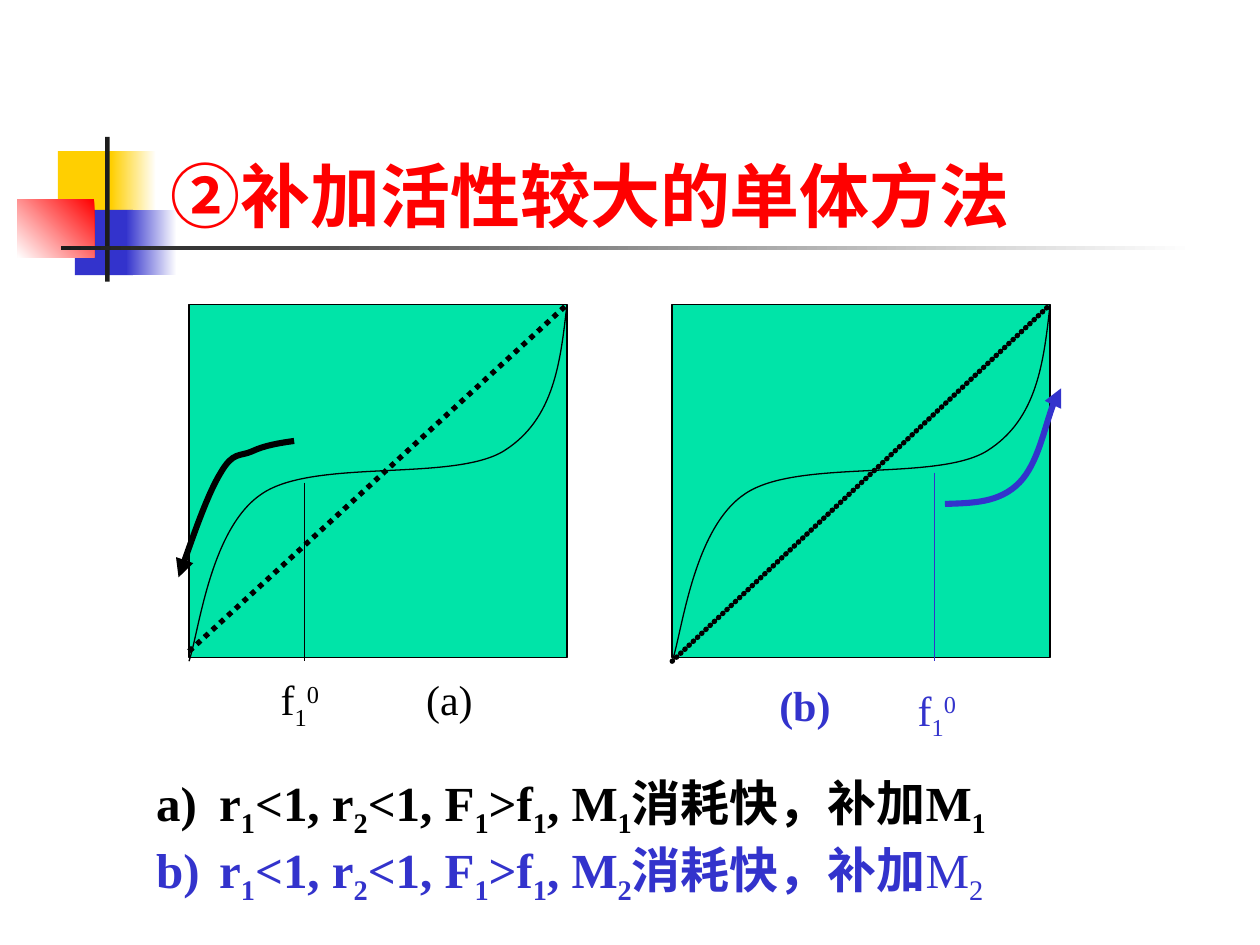
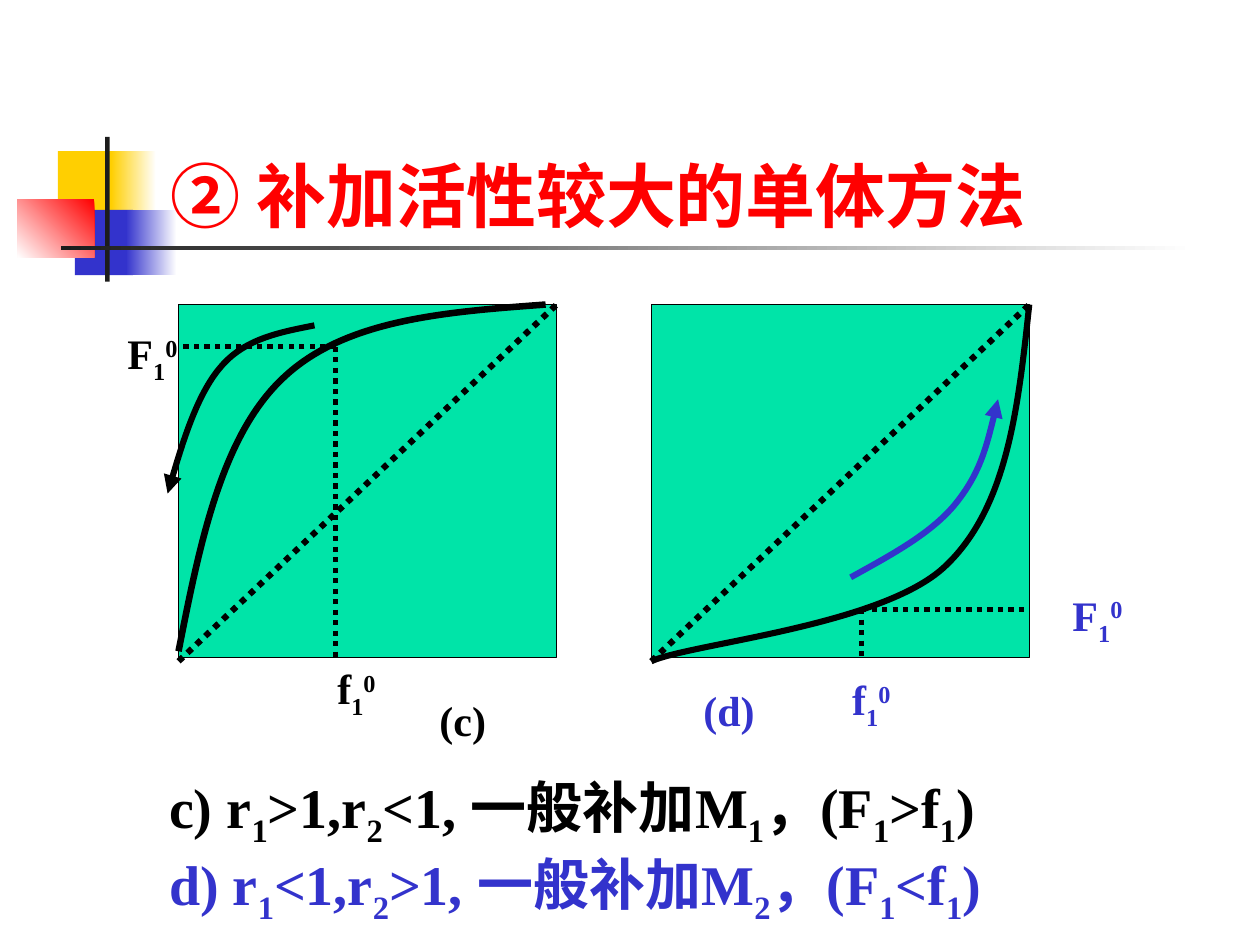
from lxml import etree
from pptx import Presentation
from pptx.dml.color import RGBColor
from pptx.enum.dml import MSO_LINE
from pptx.enum.shapes import MSO_CONNECTOR, MSO_SHAPE
from pptx.enum.text import MSO_ANCHOR, MSO_AUTO_SIZE
from pptx.oxml.ns import qn
from pptx.util import Cm, Pt

RECTANGLE = MSO_SHAPE.RECTANGLE
STRAIGHT = MSO_CONNECTOR.STRAIGHT
DOTTED = MSO_LINE.ROUND_DOT
TOP, BOTTOM = MSO_ANCHOR.TOP, MSO_ANCHOR.BOTTOM
FIT_SHAPE, FIT_NONE = MSO_AUTO_SIZE.SHAPE_TO_FIT_TEXT, MSO_AUTO_SIZE.NONE

LATIN, CHINESE = "Times New Roman", "Noto Sans CJK SC"
BLACK, BLUE, RED, WHITE = "000000", "3333CC", "FF0000", "FFFFFF"
YELLOW, GREEN, CHARCOAL = "FFCF01", "00E4A8", "1C1C1C"
hex_color = RGBColor.from_string

# Left, top, width, height, fill colours, gradient angle
DECORATION = [
    (1.17, 3.05, 1.22, 1.32, [YELLOW], None),
    (2.24, 3.05, 0.91, 1.32, [WHITE, YELLOW], 180),
    (1.51, 4.23, 1.17, 1.32, [BLUE], None),
    (2.54, 4.23, 1.02, 1.32, [WHITE, BLUE], 180),
    (0.35, 4.02, 1.55, 1.17, [RED, WHITE], 225),
    (2.12, 2.76, 0.09, 2.92, [CHARCOAL], None),
    (1.23, 4.95, 22.86, 0.09, [WHITE, CHARCOAL], 180),
]
PLOT_TOP, PLOT_WIDTH, PLOT_HEIGHT = 6.14, 7.62, 7.11
AXIS = 7.19

# Knots and handles are measured from the top left corner of their plot.
S_CURVE = [(7.62, 0), (7.49, 1.14), (7.37, 2.31), (6.35, 2.95), (5.33, 3.58),
           (2.54, 3.1), (1.48, 3.81), (0.42, 4.5), (0.2, 6.63), (0, AXIS)]
HIGH_CURVE = [(7.4, 0), (5.37, 0.15), (3.35, 0.3), (2.11, 1.48),
              (0.87, 2.64), (0.43, 4.8), (0, 6.99)]
LOW_CURVE = [(7.62, 0), (7.4, 2.03), (7.19, 4.09), (5.92, 5.28),
             (4.65, 6.48), (0.81, 6.83), (0, AXIS)]
ARROW_A = [(2.12, 2.75), (1.83, 2.79), (1.52, 2.84), (1.27, 2.96), (1.02, 3.07),
           (0.89, 2.96), (0.64, 3.39), (0.38, 3.81), (-0.08, 5.13), (-0.21, 5.5)]
ARROW_B = [(5.5, 4.02), (6.06, 4), (6.6, 4), (7, 3.59),
           (7.38, 3.2), (7.62, 1.96), (7.84, 1.69)]
ARROW_C = [(2.74, 0.42), (2.04, 0.56), (1.32, 0.69), (0.84, 1.27),
           (0.36, 1.83), (-0.08, 3.3), (-0.22, 3.81)]
ARROW_D = [(4.02, 5.5), (4.83, 5.05), (5.64, 4.62), (6.13, 4.02),
           (6.63, 3.4), (6.81, 2.67), (6.99, 1.91)]

# Plot: left, curve, curve width, arrow, colour, lines (x1, y1, x2, y2, colour, width, dash)
# Label: left, top, width, colour, bold, runs
SLIDES = [
    {
        "title": "②补加活性较大的单体方法", "title_font": CHINESE,
        "plots": [
            (3.81, S_CURVE, 0.75, ARROW_A, BLACK,
             [(0, 6.99, 7.62, 0, BLACK, 3, DOTTED),
              (2.33, 3.59, 2.33, AXIS, BLACK, 0.75, None)]),
            (13.55, S_CURVE, 0.75, ARROW_B, BLUE,
             [(0, AXIS, 7.62, 0, BLACK, 3, "beads"),
              (5.29, 3.39, 5.29, AXIS, BLUE, 0.75, None)]),
        ],
        "labels": [
            (8.34, 13.46, 1.45, BLACK, False, "(a)"),
            (15.46, 13.57, 1.55, BLUE, True, "(b)"),
            (5.41, 13.46, 1.3, BLACK, False, "f|_1|^0"),
            (18.25, 13.67, 1.3, BLUE, False, "f|_1|^0"),
        ],
        "summary_box": (2.9, 15.45, 17.7, 2.95), "summary_size": 28, "numbered": True,
        "summary": [
            (BLACK, "r|_1|<1, r|_2|<1, F|_1|>f|_1|, M|_1|消耗快，补加M|_1"),
            (BLUE, "r|_1|<1, r|_2|<1, F|_1|>f|_1|, M|_2|消耗快，补加|~M|~_2"),
        ],
    },
    {
        "title": "② 补加活性较大的单体方法", "title_font": LATIN,
        "plots": [
            (3.6, HIGH_CURVE, 3.75, ARROW_C, BLACK,
             [(0, AXIS, 7.62, 0, BLACK, 3.5, DOTTED),
              (3.17, 0.85, 3.17, AXIS, BLACK, 3, DOTTED),
              (3.17, 0.85, 0, 0.85, BLACK, 3, DOTTED)]),
            (13.13, LOW_CURVE, 3.5, ARROW_D, BLUE,
             [(0, AXIS, 7.62, 0, BLACK, 3.5, DOTTED),
              (4.23, 6.14, 4.23, AXIS, BLACK, 3, DOTTED),
              (4.23, 6.14, 7.62, 6.14, BLACK, 3, DOTTED)]),
        ],
        "labels": [
            (8.61, 13.87, 1.45, BLACK, True, "(c)"),
            (13.93, 13.67, 1.55, BLUE, True, "(d)"),
            (6.55, 13.24, 1.3, BLACK, True, "f|_1|^0"),
            (16.93, 13.46, 1.3, BLUE, True, "f|_1|^0"),
            (2.32, 6.48, 1.53, BLACK, True, "F|_1|^0"),
            (21.37, 11.76, 1.53, BLUE, True, "F|_1|^0"),
        ],
        "summary_box": (3.16, 15.45, 17.96, 3.35), "summary_size": 32, "numbered": False,
        "summary": [
            (BLACK, "c) r|_1|>1,r|_2|<1, 一般补加M|_1|，(F|_1|>f|_1|)"),
            (BLUE, "d) r|_1|<1,r|_2|>1, 一般补加M|_2|，(F|_1|<f|_1|)"),
        ],
    },
]


def add_text(slide, box, lines, size, bold=True, font=LATIN, numbered=False, title=False):
    """Add (colour, runs) lines; runs part at |, with _ sub, ^ super and ~ not bold."""
    frame = slide.shapes.add_textbox(*(Cm(length) for length in box)).text_frame
    frame.word_wrap = title
    frame.auto_size = FIT_NONE if title else FIT_SHAPE
    frame.vertical_anchor = BOTTOM if title else TOP
    for index, (color, runs) in enumerate(lines):
        paragraph = frame.add_paragraph() if index else frame.paragraphs[0]
        if numbered:
            properties = paragraph._p.get_or_add_pPr()
            properties.set("marL", str(Cm(1.27)))
            properties.set("indent", str(-Cm(1.27)))
            bullet_color = etree.SubElement(properties, qn("a:buClr"))
            etree.SubElement(bullet_color, qn("a:srgbClr"), val=color)
            etree.SubElement(properties, qn("a:buFont"), typeface=font)
            etree.SubElement(properties, qn("a:buAutoNum"), type="alphaLcParenR")
        for part in runs.split("|"):
            plain = part.lstrip("~")
            run = paragraph.add_run()
            run.text = plain.lstrip("_^")
            run.font.size = Pt(size)
            run.font.bold = bold and plain == part
            run.font.name = font
            run.font.color.rgb = hex_color(color)
            run_properties = run._r.get_or_add_rPr()
            etree.SubElement(run_properties, qn("a:ea"), typeface=CHINESE)
            if plain[0] in "_^":
                run_properties.set("baseline", "-25000" if plain[0] == "_" else "30000")


def style_line(shape, color, width, dash=None, arrow=False):
    shape.line.color.rgb = hex_color(color)
    shape.line.width = Pt(width)
    line = shape._element.spPr.find(qn("a:ln"))
    if dash == "beads":
        line.set("cap", "rnd")
        pattern = etree.SubElement(line, qn("a:custDash"))
        etree.SubElement(pattern, qn("a:ds"), d="10000", sp="100000")
    elif dash:
        shape.line.dash_style = dash
    if arrow:
        etree.SubElement(line, qn("a:tailEnd"), type="triangle")


presentation = Presentation()
presentation.slide_width, presentation.slide_height = Cm(25.4), Cm(19.05)

for content in SLIDES:
    slide = presentation.slides.add_slide(presentation.slide_layouts[6])

    for *box, colors, angle in DECORATION:
        block = slide.shapes.add_shape(RECTANGLE, *(Cm(length) for length in box))
        block.shadow.inherit = False
        block.line.fill.background()
        if angle is None:
            block.fill.solid()
            block.fill.fore_color.rgb = hex_color(colors[0])
        else:
            block.fill.gradient()
            block.fill.gradient_angle = angle
            for stop, color in zip(block.fill.gradient_stops, colors):
                stop.color.rgb = hex_color(color)

    add_text(slide, (3.19, 1.71, 21.64, 3.18), [(RED, content["title"])], 40,
             font=content["title_font"], title=True)

    for left, curve, curve_width, arrow, arrow_color, lines in content["plots"]:
        plot = slide.shapes.add_shape(RECTANGLE, Cm(left), Cm(PLOT_TOP),
                                      Cm(PLOT_WIDTH), Cm(PLOT_HEIGHT))
        plot.shadow.inherit = False
        plot.fill.solid()
        plot.fill.fore_color.rgb = hex_color(GREEN)
        style_line(plot, BLACK, 0.75)

        for x1, y1, x2, y2, color, width, dash in lines:
            connector = slide.shapes.add_connector(
                STRAIGHT, Cm(left + x1), Cm(PLOT_TOP + y1), Cm(left + x2), Cm(PLOT_TOP + y2))
            style_line(connector, color, width, dash)
            etree.SubElement(connector._element.spPr, qn("a:effectLst"))

        for knots, color, width, has_arrow in [(curve, BLACK, curve_width, False),
                                               (arrow, arrow_color, 3.5, True)]:
            points = [(Cm(left + x), Cm(PLOT_TOP + y)) for x, y in knots]
            builder = slide.shapes.build_freeform(*points[0])
            builder.add_line_segments(points[1:], close=False)
            freeform = builder.convert_to_shape()
            # Every three straight segments become one cubic Bezier segment.
            segments = list(freeform._element.iter(qn("a:lnTo")))
            outline = segments[0].getparent()
            for first in range(0, len(segments), 3):
                bezier = etree.SubElement(outline, qn("a:cubicBezTo"))
                for segment in segments[first:first + 3]:
                    bezier.append(segment[0])
                    outline.remove(segment)
            freeform.shadow.inherit = False
            freeform.fill.background()
            style_line(freeform, color, width, arrow=has_arrow)

    for left, top, width, color, bold, runs in content["labels"]:
        height = 1.42 if "|" in runs else 1.27
        add_text(slide, (left, top, width, height), [(color, runs)], 24, bold)

    add_text(slide, content["summary_box"], content["summary"], content["summary_size"],
             numbered=content["numbered"])

presentation.save("out.pptx")
